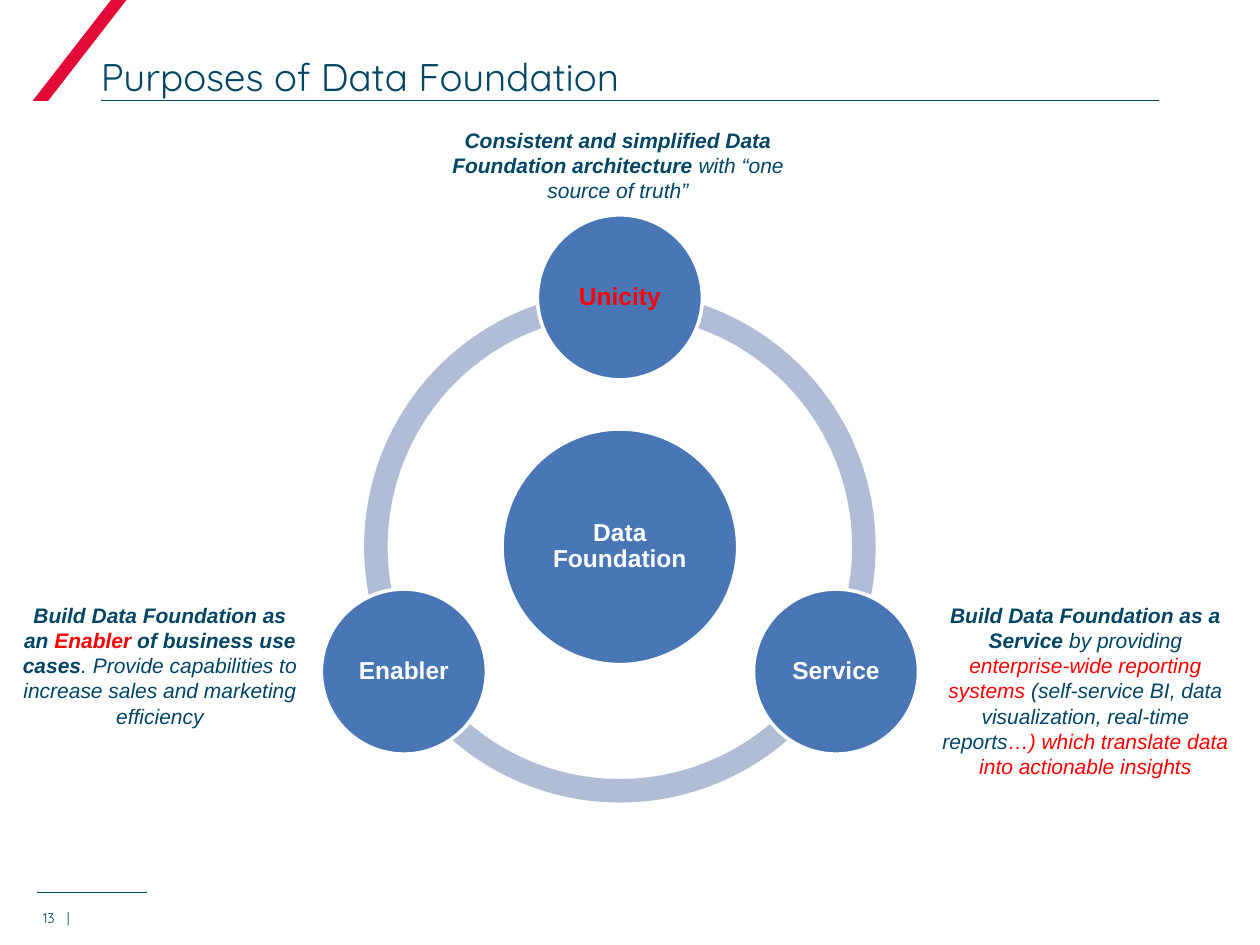
from itertools import pairwise
from math import cos, radians, sin

from lxml.etree import SubElement
from pptx import Presentation
from pptx.dml.color import RGBColor
from pptx.enum.shapes import MSO_CONNECTOR as Connector, MSO_SHAPE as Shape
from pptx.enum.text import MSO_ANCHOR as Anchor, PP_ALIGN as Align
from pptx.oxml.ns import qn
from pptx.util import Inches, Pt

TEAL = RGBColor(0x00, 0x45, 0x63)
CRIMSON = RGBColor(0xE4, 0x0A, 0x38)
RED = RGBColor(0xFF, 0x00, 0x00)
BLUE = RGBColor(0x49, 0x77, 0xB6)
PALE_BLUE = RGBColor(0xB1, 0xBD, 0xD7)
WHITE = RGBColor(0xFF, 0xFF, 0xFF)

CENTER_X, CENTER_Y = 4.92, 4.34
RING_DIAMETER = 4.06
ORBIT_RADIUS = 1.98
HUB_DIAMETER, NODE_DIAMETER = 1.87, 1.31
NODES = [("Unicity", 270, RED), ("Service", 30, WHITE), ("Enabler", 150, WHITE)]
ARC_ANGLES = [90, 162, 18, 90]

NOTES = [
    ((3.4, 1.01, 3.01, 0.61), [
        ("Consistent and simplified Data Foundation architecture ", True, TEAL),
        ("with “one source of truth”", False, TEAL)]),
    ((7.43, 4.78, 2.37, 1.41), [
        ("Build Data Foundation as a Service ", True, TEAL),
        ("by providing ", False, TEAL),
        ("enterprise-wide reporting systems ", False, RED),
        ("(self-service BI, data visualization, real-time reports", False, TEAL),
        ("…) which translate data into actionable insights", False, RED)]),
    ((0.17, 4.78, 2.2, 1.01), [
        ("Build Data Foundation as an ", True, TEAL),
        ("Enabler", True, RED),
        (" of business use cases", True, TEAL),
        (". Provide capabilities to increase sales and marketing efficiency", False, TEAL)]),
]


def set_font(font, name, size, color=None, bold=None):
    """Set the typeface, size, colour and weight of a font."""
    font.name, font.size, font.bold = name, Pt(size), bold
    if color is not None:
        font.color.rgb = color


def set_frame(frame, anchor, inset=0):
    """Wrap a text frame and set its anchor and equal insets."""
    frame.word_wrap = True
    frame.vertical_anchor = anchor
    frame.margin_left = frame.margin_right = Inches(inset)
    frame.margin_top = frame.margin_bottom = Inches(inset)


def add_filled_shape(slide, kind, box, color):
    """Add a flat preset shape without an outline."""
    shape = slide.shapes.add_shape(kind, *map(Inches, box))
    shape.shadow.inherit = False
    shape.fill.solid()
    shape.fill.fore_color.rgb = color
    shape.line.fill.background()
    return shape


def add_rule(slide, left, right, y):
    """Add a thin horizontal line."""
    rule = slide.shapes.add_connector(
        Connector.STRAIGHT, Inches(left), Inches(y), Inches(right), Inches(y))
    rule.line.color.rgb = TEAL
    rule.line.width = Pt(0.5)
    SubElement(rule._element.spPr, qn("a:effectLst"))


def add_title(slide, text):
    """Place and format the title."""
    title = slide.shapes.title
    title.left, title.top, title.width, title.height = map(Inches, (0.8, 0.42, 8.4, 0.37))
    set_frame(title.text_frame, Anchor.BOTTOM)
    title.text_frame.text = text
    paragraph = title.text_frame.paragraphs[0]
    paragraph.alignment = Align.LEFT
    set_font(paragraph.font, "Quicksand", 22, TEAL)


def add_page_number(slide, number):
    """Add the page number and its bar, set apart by a tab stop."""
    textbox = slide.shapes.add_textbox(*map(Inches, (0.34, 7.12, 0.4, 0.23)))
    set_frame(textbox.text_frame, Anchor.BOTTOM)
    paragraph = textbox.text_frame.paragraphs[0]
    paragraph.add_run().text = f"{number}\t|"
    set_font(paragraph.font, "Quicksand", 8, TEAL)
    tabs = paragraph._p.get_or_add_pPr()
    tab_list = tabs.makeelement(qn("a:tabLst"))
    tabs.insert(0, tab_list)
    SubElement(tab_list, qn("a:tab"), pos=str(Inches(0.19)), algn="l")


def add_arc(slide, start, end):
    """Add one segment of the ring between two angles in degrees."""
    corner = RING_DIAMETER / 2
    arc = add_filled_shape(
        slide, Shape.BLOCK_ARC,
        (CENTER_X - corner, CENTER_Y - corner, RING_DIAMETER, RING_DIAMETER), PALE_BLUE)
    for index, value in enumerate((start * 0.6, end * 0.6, 0.046)):
        arc.adjustments[index] = value


def add_circle(slide, text, x, y, diameter, color):
    """Add a labelled circle around a centre point."""
    circle = add_filled_shape(
        slide, Shape.OVAL, (x - diameter / 2, y - diameter / 2, diameter, diameter), BLUE)
    circle.line.color.rgb = WHITE
    circle.line.width = Pt(2)
    set_frame(circle.text_frame, Anchor.MIDDLE, 0.02)
    circle.text_frame.text = text
    paragraph = circle.text_frame.paragraphs[0]
    paragraph.alignment = Align.CENTER
    paragraph.line_spacing = 0.9
    set_font(paragraph.font, "Arial", 14, color, True)


def add_note(slide, box, runs):
    """Add a centred italic note with mixed weights and colours."""
    textbox = slide.shapes.add_textbox(*map(Inches, box))
    set_frame(textbox.text_frame, Anchor.TOP)
    paragraph = textbox.text_frame.paragraphs[0]
    paragraph.alignment = Align.CENTER
    set_font(paragraph.font, "Arial", 12)
    paragraph.font.italic = True
    for text, bold, color in runs:
        run = paragraph.add_run()
        run.text = text
        run.font.bold = bold
        run.font.color.rgb = color


def main():
    """Build the slide and save it."""
    presentation = Presentation()
    presentation.slide_width, presentation.slide_height = Inches(10), Inches(7.5)
    slide = presentation.slides.add_slide(presentation.slide_layouts[5])
    add_rule(slide, 0.29, 1.17, 7.08)
    slash = add_filled_shape(slide, Shape.PARALLELOGRAM, (0.26, -0.02, 0.76, 0.82), CRIMSON)
    slash.adjustments[0] = 0.838
    add_rule(slide, 0.8, 9.2, 0.8)
    add_title(slide, "Purposes of Data Foundation")
    add_page_number(slide, 13)
    for start, end in pairwise(ARC_ANGLES):
        add_arc(slide, start, end)
    add_circle(slide, "Data Foundation", CENTER_X, CENTER_Y, HUB_DIAMETER, WHITE)
    for text, angle, color in NODES:
        x = CENTER_X + ORBIT_RADIUS * cos(radians(angle))
        y = CENTER_Y + ORBIT_RADIUS * sin(radians(angle))
        add_circle(slide, text, x, y, NODE_DIAMETER, color)
    for box, runs in NOTES:
        add_note(slide, box, runs)
    presentation.save("out.pptx")


if __name__ == "__main__":
    main()
